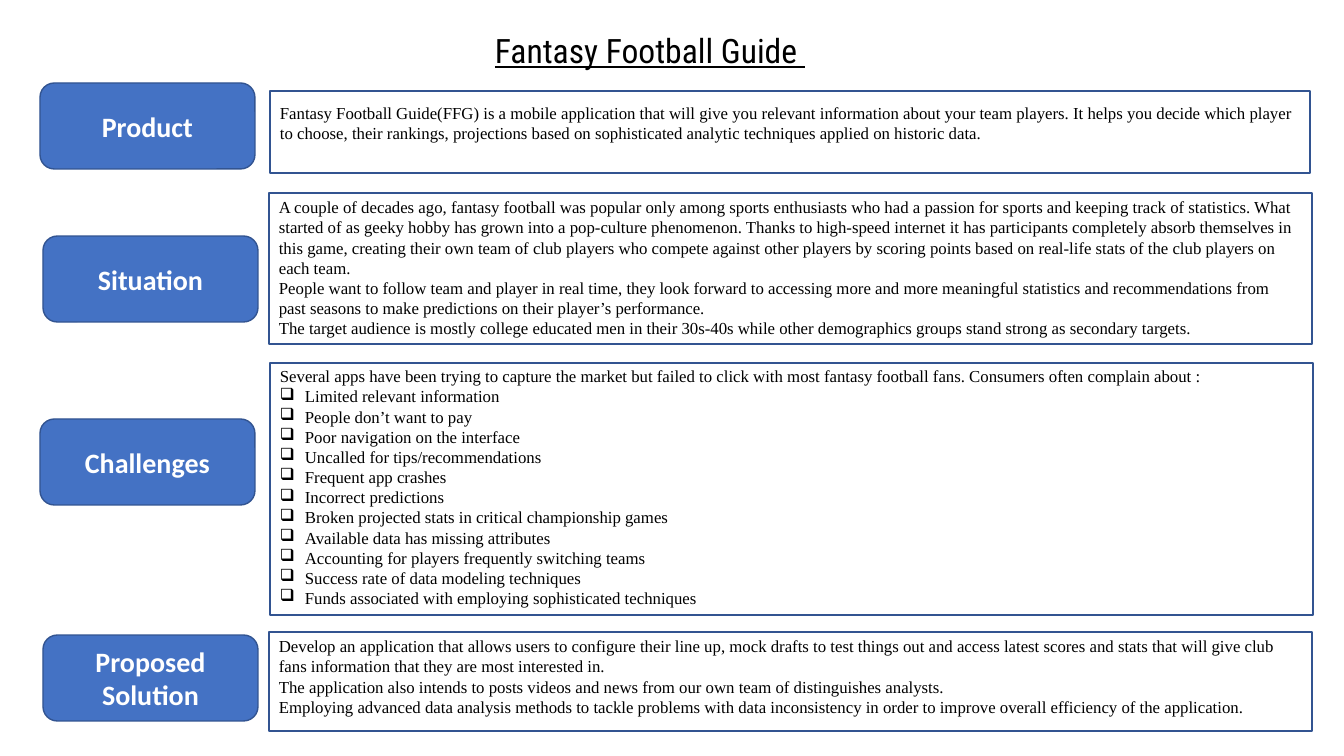
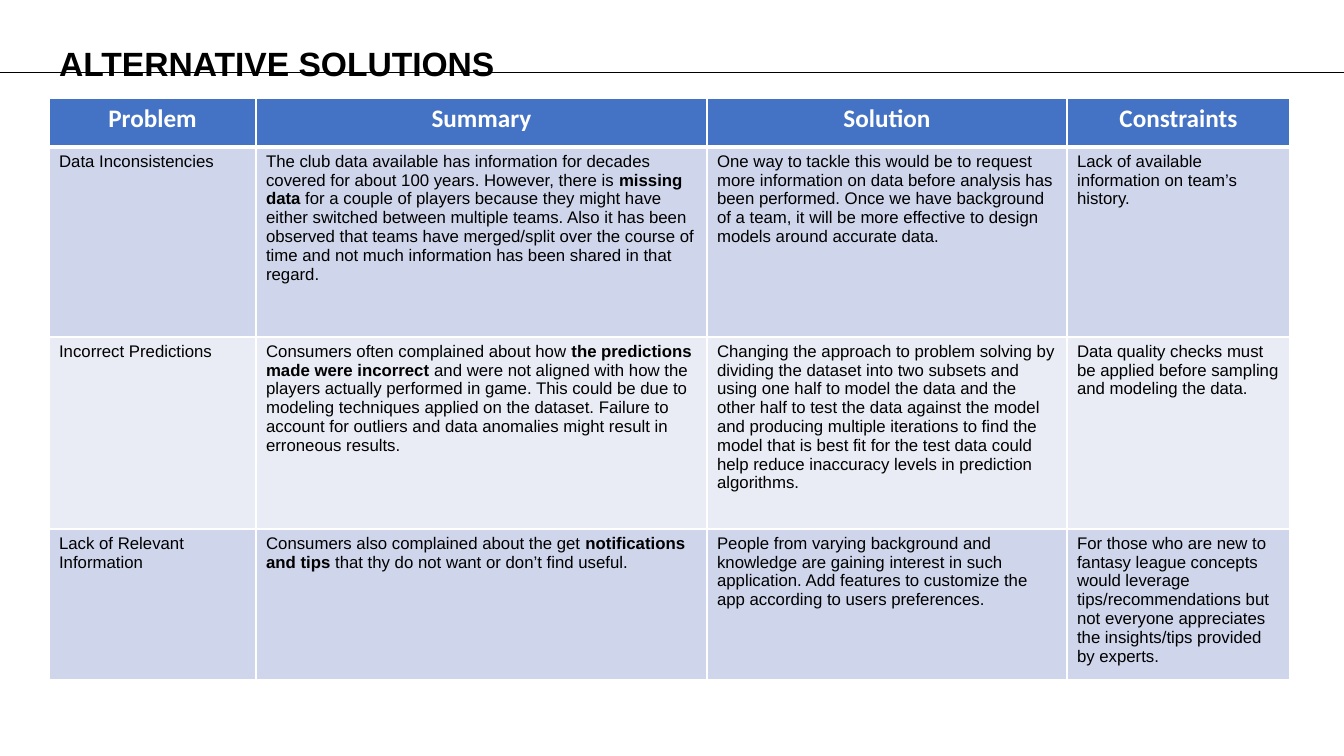
from lxml.etree import SubElement
from pptx import Presentation
from pptx.dml.color import RGBColor
from pptx.enum.shapes import MSO_CONNECTOR, MSO_SHAPE
from pptx.enum.text import MSO_ANCHOR, MSO_AUTO_SIZE, PP_ALIGN
from pptx.oxml.ns import qn
from pptx.util import Inches, Pt

SCALE = Inches(1) / 100.8
WIDTH, HEIGHT = 1344, 756
BLUE, NAVY, BLACK, WHITE = "4472C4", "325491", "000000", "FFFFFF"
BANDS = ("CFD5EA", "E9EBF5")
HEADING, BODY, TABLE_BODY, DISPLAY = "Calibri", "Times New Roman", "Arial", "Roboto Condensed"
BULLET = "❑"


def px(length):
    """Turn pixels into EMU."""
    return round(length * SCALE)


def color(code):
    """Turn a hex string into a colour."""
    return RGBColor.from_string(code)


def format_runs(para, font, size, code, bold=False, underline=False):
    """Give every run of a paragraph the same look."""
    for span in para.runs:
        span.font.name, span.font.size = font, Pt(size)
        span.font.bold, span.font.underline = bold, underline
        span.font.color.rgb = color(code)


def add_bullet(para, indent):
    """Give a paragraph a hanging checkbox bullet."""
    properties = para._p.get_or_add_pPr()
    properties.set("marL", str(px(indent)))
    properties.set("indent", str(-px(indent)))
    SubElement(properties, qn("a:buChar")).set("char", BULLET)


def add_borders(cell, bottom):
    """Draw white borders round a cell, the lower one of a given width."""
    properties = cell._tc.get_or_add_tcPr()
    for side, width in (("L", 1), ("R", 1), ("T", 1), ("B", bottom)):
        line = SubElement(properties, qn(f"a:ln{side}"), w=str(Pt(width)))
        fill = SubElement(line, qn("a:solidFill"))
        SubElement(fill, qn("a:srgbClr")).set("val", WHITE)


class Slides:
    """Hold the deck, its style and the current page."""

    def __init__(self):
        """Start an empty widescreen deck."""
        self.deck = Presentation()
        self.deck.slide_width, self.deck.slide_height = px(WIDTH), px(HEIGHT)
        self.page = None

    def add_page(self, title, box, font, align=PP_ALIGN.LEFT, bold=False, underline=False):
        """Add a page and place its title."""
        self.page = self.deck.slides.add_slide(self.deck.slide_layouts[5])
        holder = self.page.shapes.title
        holder.left, holder.top, holder.width, holder.height = map(px, box)
        frame = holder.text_frame
        frame.text = title
        frame.auto_size = MSO_AUTO_SIZE.NONE
        frame.vertical_anchor = MSO_ANCHOR.TOP
        para = frame.paragraphs[0]
        para.alignment = align
        format_runs(para, font, 24, BLACK, bold, underline)

    def add_block(self, kind, box, fill=None):
        """Add an outlined shape, with or without a fill."""
        block = self.page.shapes.add_shape(kind, *map(px, box))
        block.shadow.inherit = False
        if fill:
            block.fill.solid()
            block.fill.fore_color.rgb = color(fill)
        else:
            block.fill.background()
        block.line.color.rgb, block.line.width = color(NAVY), Pt(1)
        block.text_frame.word_wrap = True
        return block

    def add_badge(self, text, left, top):
        """Add a rounded section label."""
        badge = self.add_block(MSO_SHAPE.ROUNDED_RECTANGLE, (left, top, 215, 86), BLUE)
        frame = badge.text_frame
        frame.text = text
        frame.vertical_anchor = MSO_ANCHOR.MIDDLE
        frame.paragraphs[0].alignment = PP_ALIGN.CENTER
        format_runs(frame.paragraphs[0], HEADING, 20, WHITE, bold=True)

    def add_panel(self, box, inset, lines, bullets=()):
        """Add a framed text with optional bullet points below it."""
        frame = self.add_block(MSO_SHAPE.RECTANGLE, box).text_frame
        frame.vertical_anchor = MSO_ANCHOR.TOP
        frame.margin_top = px(inset)
        frame.text = "\n".join([*lines, *bullets])
        for index, para in enumerate(frame.paragraphs):
            para.alignment = PP_ALIGN.LEFT
            format_runs(para, BODY, 12, BLACK)
            if index >= len(lines):
                add_bullet(para, 25)

    def add_rule(self, top):
        """Draw a thin line across the page."""
        rule = self.page.shapes.add_connector(
            MSO_CONNECTOR.STRAIGHT, 0, px(top), px(WIDTH), px(top))
        rule.line.color.rgb, rule.line.width = color(BLACK), Pt(0.5)
        SubElement(rule._element.spPr, qn("a:effectLst"))

    def fill_cell(self, cell, text, is_header, fill):
        """Fill a cell; parts between asterisks are bold."""
        add_borders(cell, 3 if is_header else 1)
        cell.fill.solid()
        cell.fill.fore_color.rgb = color(fill)
        para = cell.text_frame.paragraphs[0]
        for part in text.split("*"):
            para.add_run().text = part
        if is_header:
            para.alignment = PP_ALIGN.CENTER
            format_runs(para, HEADING, 18, WHITE, bold=True)
        else:
            format_runs(para, TABLE_BODY, 12, BLACK)
            for span in para.runs[1::2]:
                span.font.bold = True

    def add_table(self, left, top, widths, heights, rows):
        """Add a table with a header row and banded rows."""
        table = self.page.shapes.add_table(
            len(rows), len(widths), px(left), px(top),
            px(sum(widths)), px(sum(heights))).table
        for column, width in zip(table.columns, widths):
            column.width = px(width)
        for index, (row, height) in enumerate(zip(rows, heights)):
            table.rows[index].height = px(height)
            fill = BANDS[(index - 1) % 2] if index else BLUE
            for cell, text in zip(table.rows[index].cells, row):
                self.fill_cell(cell, text, index == 0, fill)


PRODUCT = [
    "Fantasy Football Guide(FFG) is a mobile application that will give you relevant "
    "information about your team players. It helps you decide which player to choose, "
    "their rankings, projections based on sophisticated analytic techniques applied on "
    "historic data.",
]
SITUATION = [
    "A couple of decades ago, fantasy football was popular only among sports enthusiasts "
    "who had a passion for sports and keeping track of statistics. What started of as "
    "geeky hobby has grown into a pop-culture phenomenon. Thanks to high-speed internet it "
    "has participants completely absorb themselves in this game, creating their own team "
    "of club players who compete against other players by scoring points based on "
    "real-life stats of the club players on each team.",
    "People want to follow team and player in real time, they look forward to accessing "
    "more and more meaningful statistics and recommendations from past seasons to make "
    "predictions on their player’s performance.",
    "The target audience is mostly college educated men in their 30s-40s while other "
    "demographics groups stand strong as secondary targets.",
]
CHALLENGES = [
    "Several apps have been trying to capture the market but failed to click with most "
    "fantasy football fans. Consumers often complain about :",
]
COMPLAINTS = [
    "Limited relevant information",
    "People don’t want to pay",
    "Poor navigation on the interface",
    "Uncalled for tips/recommendations",
    "Frequent app crashes",
    "Incorrect predictions",
    "Broken projected stats in critical championship games",
    "Available data has missing attributes",
    "Accounting for players frequently switching teams",
    "Success rate of data modeling techniques",
    "Funds associated with employing sophisticated techniques",
]
PROPOSAL = [
    "Develop an application that allows users to configure their line up, mock drafts to "
    "test things out and access latest scores and stats that will give club fans "
    "information that they are most interested in.",
    "The application also intends to posts videos and news from our own team of "
    "distinguishes analysts.",
    "Employing advanced data analysis methods to tackle problems with data inconsistency "
    "in order to improve overall efficiency of the application.",
]
ALTERNATIVES = [
    ("Problem", "Summary", "Solution", "Constraints"),
    ("Data Inconsistencies",
     "The club data available has information for decades covered for about 100 years. "
     "However, there is *missing data* for a couple of players because they might have "
     "either switched between multiple teams. Also it has been observed that teams have "
     "merged/split over the course of time and not much information has been shared in "
     "that regard.",
     "One way to tackle this would be to request more information on data before analysis "
     "has been performed. Once we have background of a team, it will be more effective to "
     "design models around accurate data.",
     "Lack of available information on team’s history."),
    ("Incorrect Predictions",
     "Consumers often complained about how *the predictions made were incorrect *and were "
     "not aligned with how the players actually performed in game. This could be due to "
     "modeling techniques applied on the dataset. Failure to account for outliers and data "
     "anomalies might result in erroneous results.",
     "Changing the approach to problem solving by dividing the dataset into two subsets "
     "and using one half to model the data and the other half to test the data against the "
     "model and producing multiple iterations to find the model that is best fit for the "
     "test data could help reduce inaccuracy levels in prediction algorithms.",
     "Data quality checks must be applied before sampling and modeling the data."),
    ("Lack of Relevant Information",
     "Consumers also complained about the get *notifications and tips* that thy do not "
     "want or don’t find useful.",
     "People from varying background and knowledge are gaining interest in such "
     "application. Add features to customize the app according to users preferences.",
     "For those who are new to fantasy league concepts would leverage tips/recommendations "
     "but not everyone appreciates the insights/tips provided by experts."),
]


def build_guide(slides):
    """Build the overview of the product."""
    slides.add_page("Fantasy Football Guide ", (361, 25, 578, 50), DISPLAY,
                    align=PP_ALIGN.CENTER, underline=True)
    slides.add_panel((270, 91, 1040, 82), 12, PRODUCT)
    slides.add_panel((269, 193, 1043, 151), 4, SITUATION)
    slides.add_panel((270, 363, 1043, 252), 3, CHALLENGES, COMPLAINTS)
    slides.add_panel((269, 632, 1043, 99), 4, PROPOSAL)
    slides.add_badge("Product", 40, 83)
    slides.add_badge("Situation", 43, 236)
    slides.add_badge("Challenges", 40, 419)
    slides.add_badge("Proposed Solution", 43, 635)


def build_alternatives(slides):
    """Build the table of alternative solutions."""
    slides.add_page("ALTERNATIVE SOLUTIONS", (49, 38, 480, 50), TABLE_BODY, bold=True)
    slides.add_rule(72)
    slides.add_table(49, 98, (207, 451, 360, 223), (49, 190, 192, 151), ALTERNATIVES)


def main():
    """Build and save the deck."""
    slides = Slides()
    build_guide(slides)
    build_alternatives(slides)
    slides.deck.save("out.pptx")


main()
